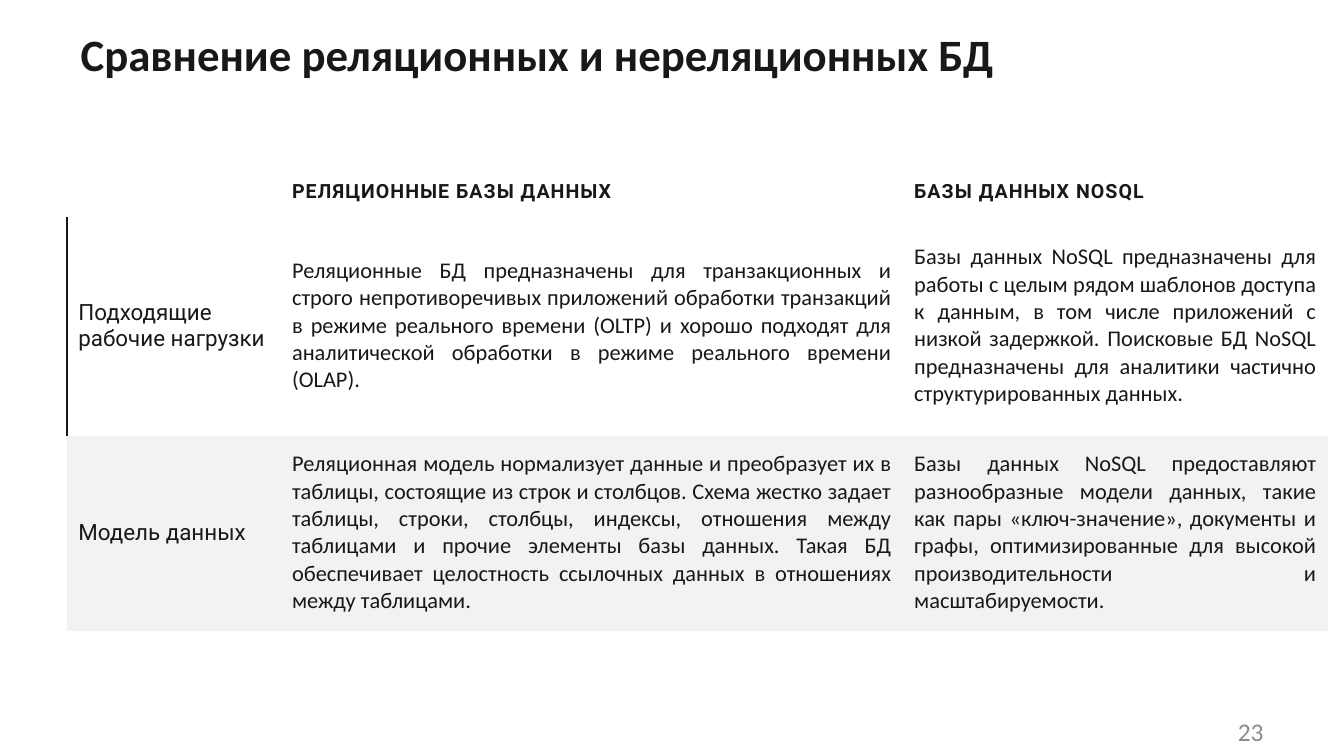
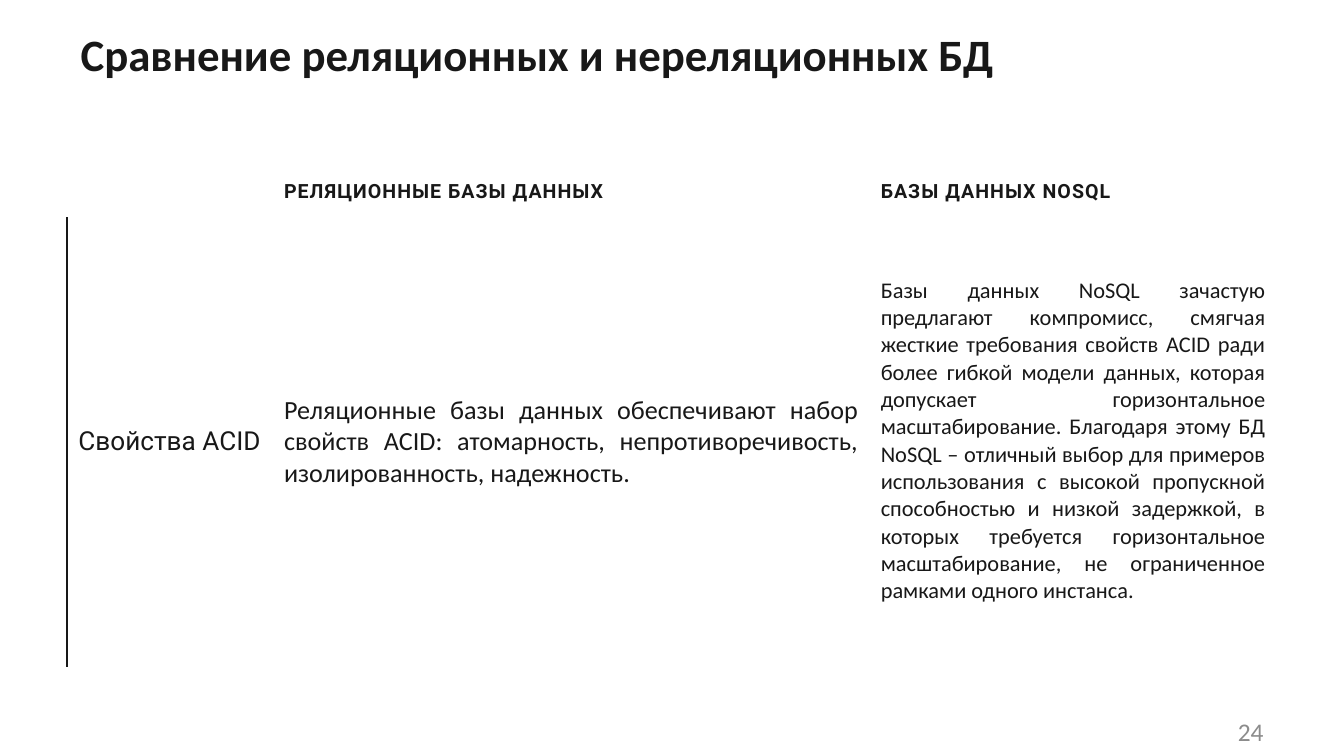
from lxml.etree import SubElement
from pptx import Presentation
from pptx.dml.color import RGBColor
from pptx.enum.text import MSO_ANCHOR as ANCHOR, MSO_AUTO_SIZE as AUTO, PP_ALIGN as ALIGN
from pptx.oxml import parse_xml
from pptx.oxml.ns import nsdecls, qn
from pptx.util import Pt

COLORS = {"text": "181818", "number": "8C8C8C", "band": "F2F2F2"}
TITLE = "Сравнение реляционных и нереляционных БД"
HEADERS = ["", "РЕЛЯЦИОННЫЕ БАЗЫ ДАННЫХ", "БАЗЫ ДАННЫХ NOSQL"]
NO_STYLE = "{2D5ABB26-0587-4C30-8999-92F81FD0307C}"
BOTTOM = {10.5: 7.2, 12: 7.2, 14: 6}

SLIDES = [
    {
        "number": 23,
        "box": (36, 89.3),
        "cols": [114.5, 333.3, 227.5],
        "rows": [26.5, 117.4, 104.4],
        "sizes": [12, 12, 12],
        "body": [
            [
                "Подходящие рабочие нагрузки",
                "Реляционные БД предназначены для транзакционных и строго "
                "непротиворечивых приложений обработки транзакций в режиме "
                "реального времени (OLTP) и хорошо подходят для аналитической "
                "обработки в режиме реального времени (OLAP).",
                "Базы данных NoSQL предназначены для работы с целым рядом "
                "шаблонов доступа к данным, в том числе приложений с низкой "
                "задержкой. Поисковые БД NoSQL предназначены для аналитики "
                "частично структурированных данных. ",
            ],
            [
                "Модель данных",
                "Реляционная модель нормализует данные и преобразует их в "
                "таблицы, состоящие из строк и столбцов. Схема жестко задает "
                "таблицы, строки, столбцы, индексы, отношения между таблицами "
                "и прочие элементы базы данных. Такая БД обеспечивает "
                "целостность ссылочных данных в отношениях между таблицами. ",
                "Базы данных NoSQL предоставляют разнообразные модели данных, "
                "такие как пары «ключ-значение», документы и графы, "
                "оптимизированные для высокой производительности и "
                "масштабируемости. ",
            ],
        ],
    },
    {
        "number": 24,
        "box": (36, 89.3),
        "cols": [110.2, 319.7, 218.1],
        "rows": [26.5, 241],
        "sizes": [14, 14, 12],
        "body": [
            [
                "Свойства ACID",
                "Реляционные базы данных обеспечивают набор свойств ACID: "
                "атомарность, непротиворечивость, изолированность, надежность.",
                "Базы данных NoSQL зачастую предлагают компромисс, смягчая "
                "жесткие требования свойств ACID ради более гибкой модели "
                "данных, которая допускает горизонтальное масштабирование. "
                "Благодаря этому БД NoSQL – отличный выбор для примеров "
                "использования с высокой пропускной способностью и низкой "
                "задержкой, в которых требуется горизонтальное "
                "масштабирование, не ограниченное рамками одного инстанса.",
            ],
        ],
    },
]


def style_text(p, size, font="Calibri", color="text", bold=False, align=ALIGN.LEFT):
    p.alignment = align
    for f in [p.font] + [r.font for r in p.runs]:
        f.size, f.name, f.bold = Pt(size), font, bold
        f.color.rgb = RGBColor.from_string(COLORS[color])


def add_title(s, left, top, width, height):
    sp = s.shapes.title
    sp.left, sp.top, sp.width, sp.height = Pt(left), Pt(top), Pt(width), Pt(height)
    tf = sp.text_frame
    tf.text = TITLE
    tf.word_wrap, tf.auto_size, tf.vertical_anchor = True, AUTO.NONE, ANCHOR.TOP
    style_text(tf.paragraphs[0], 24, bold=True)


def add_number(s, number, left, top, width, height):
    tf = s.shapes.add_textbox(Pt(left), Pt(top), Pt(width), Pt(height)).text_frame
    tf.text = str(number)
    tf.word_wrap, tf.vertical_anchor = True, ANCHOR.MIDDLE
    style_text(tf.paragraphs[0], 13.6, color="number", align=ALIGN.RIGHT)


def add_left_border(cell):
    ln = parse_xml(f'<a:lnL {nsdecls("a")} w="{Pt(1)}"/>')
    fill = SubElement(ln, qn("a:solidFill"))
    SubElement(fill, qn("a:srgbClr"), val=COLORS["text"])
    cell._tc.get_or_add_tcPr().insert(0, ln)


def fill_cell(cell, text, row, col, size):
    header = row == 0
    cell.text = text
    cell.margin_left = cell.margin_right = Pt(6)
    cell.margin_top = Pt(7.2 if header else 6)
    cell.margin_bottom = Pt(BOTTOM[size])
    cell.vertical_anchor = ANCHOR.BOTTOM if header else ANCHOR.MIDDLE
    if row == 2:
        cell.fill.solid()
        cell.fill.fore_color.rgb = RGBColor.from_string(COLORS["band"])
    else:
        cell.fill.background()
    if (row, col) == (1, 0):
        add_left_border(cell)
    p = cell.text_frame.paragraphs[0]
    font = "Roboto" if header or col == 0 else "Calibri"
    style_text(p, size, font, bold=header, align=ALIGN.JUSTIFY)
    if header:
        for r in p.runs:
            r.font._element.set("spc", "60")


def add_comparison(s, left, top, cols, rows, sizes, body):
    frame = s.shapes.add_table(len(rows), len(cols), Pt(left), Pt(top),
                               Pt(sum(cols)), Pt(sum(rows)))
    table = frame.table
    table.first_row = table.horz_banding = False
    table._tbl.tblPr.find(qn("a:tableStyleId")).text = NO_STYLE
    for column, width in zip(table.columns, cols):
        column.width = Pt(width)
    for line, height in zip(table.rows, rows):
        line.height = Pt(height)
    for row, texts in enumerate([HEADERS] + body):
        for col, text in enumerate(texts):
            size = sizes[col] if row else 10.5
            fill_cell(table.cell(row, col), text, row, col, size)


def add_slide(prs, data):
    s = prs.slides.add_slide(prs.slide_layouts[5])
    add_title(s, 36, 10.8, 648, 50.4)
    add_number(s, data["number"], 643.7, 380.9, 40.3, 21.6)
    add_comparison(s, *data["box"], data["cols"], data["rows"], data["sizes"], data["body"])


def main():
    prs = Presentation()
    prs.slide_width, prs.slide_height = Pt(720), Pt(405)
    for data in SLIDES:
        add_slide(prs, data)
    prs.save("out.pptx")


if __name__ == "__main__":
    main()
